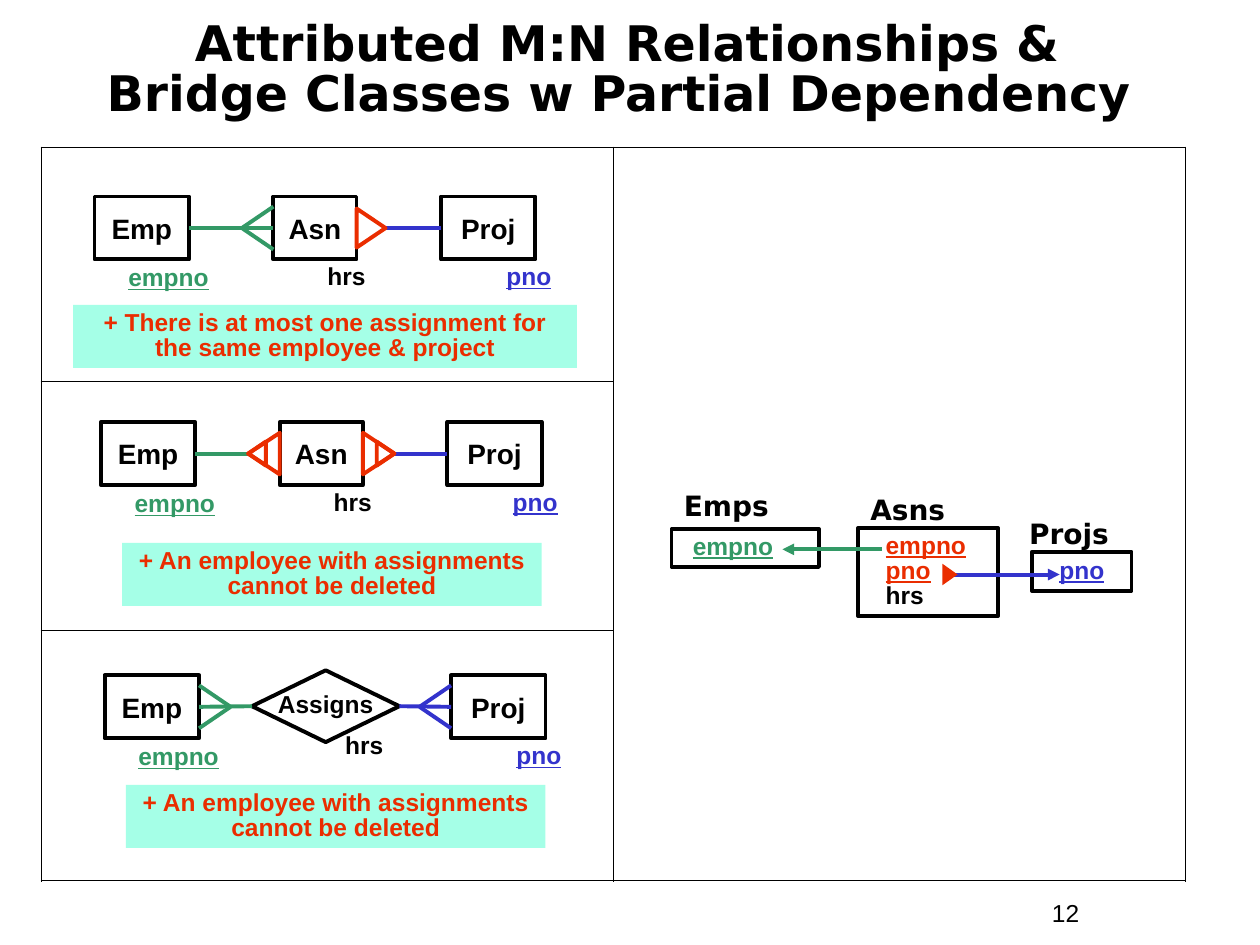
from pptx import Presentation
from pptx.dml.color import RGBColor
from pptx.enum.shapes import MSO_CONNECTOR, MSO_SHAPE
from pptx.enum.text import MSO_ANCHOR, MSO_AUTO_SIZE, PP_ALIGN
from pptx.oxml.ns import qn
from pptx.util import Inches, Pt
from lxml import etree

RECT, RHOMB, TRI = MSO_SHAPE.RECTANGLE, MSO_SHAPE.DIAMOND, MSO_SHAPE.ISOSCELES_TRIANGLE
STRAIGHT = MSO_CONNECTOR.STRAIGHT
TOP, MID = MSO_ANCHOR.TOP, MSO_ANCHOR.MIDDLE
LEFT, CENTER = PP_ALIGN.LEFT, PP_ALIGN.CENTER
SANS, HEAD = "Arial", "DejaVu Sans"
HUES = {"black": "000000", "green": "339966", "blue": "3333CC",
        "red": "EA2D00", "mint": "A5FFE7"}

# Content
TITLE = "Attributed M:N Relationships &\vBridge Classes w Partial Dependency "
PAGE = "12"
ONE = "+ There is at most one assignment for the same employee & project"
KEEP = "+ An employee with assignments cannot be deleted"
# Left panels: corner of the Emp box, link kind, hrs offset, note text and place
PANELS = [
    ((0.75, 1.56), "one", (1.75, 0.49), ONE, (0.58, 2.42, 4)),
    ((0.80, 3.35), "two", (1.75, 0.49), KEEP, (0.97, 4.31, 3.33)),
    ((0.83, 5.36), "rhomb", (1.81, 0.41), KEEP, (1, 6.23, 3.33)),
]
# Relations: name, its corner, box, indent, line spacing, fields (text, hue, key)
TABLES = [
    ("Emps", (5.33, 3.83), (5.33, 4.2, 1.17, 0.3), 0.07, 0.85, [("empno", "green", True)]),
    ("Asns", (6.81, 3.86), (6.81, 4.19, 1.11, 0.7), 0.12, 0.85,
     [("empno", "red", True), ("pno", "red", True), ("hrs", "black", False)]),
    ("Projs", (8.07, 4.05), (8.19, 4.38, 0.79, 0.31), 0.12, 0.9, [("pno", "blue", True)]),
]
COLS, ROWS = [4.54, 4.54], [1.86, 1.97, 1.99]
SIDE, TALL, ASN, GAP = 0.75, 0.5, 0.66, 1.42   # box width, height, Asn width and offset
FAR = 2.75                                     # offset of the Proj box
HALF = TALL / 2

prs = Presentation()
prs.slide_width, prs.slide_height = Inches(10), Inches(7.5)
slide = prs.slides.add_slide(prs.slide_layouts[5])
shapes = slide.shapes


def rgb(hue):
    return RGBColor.from_string(HUES[hue])


def write(shape, text, size=14, hue="black", font=SANS, bold=True, under=False,
          align=LEFT, anchor=TOP, space=1.0, indent=0, wrap=True):
    """Text is a string, or a list of (line, hue, underline)."""
    frame = shape.text_frame
    frame.auto_size = MSO_AUTO_SIZE.NONE
    frame.word_wrap, frame.vertical_anchor = wrap, anchor
    lines = [(text, hue, under)] if isinstance(text, str) else text
    for i, (line, tint, mark) in enumerate(lines):
        para = frame.add_paragraph() if i else frame.paragraphs[0]
        para.text = line
        para.alignment, para.line_spacing = align, space
        if indent:
            props = para._p.get_or_add_pPr()
            props.set("marL", str(Inches(indent)))
            props.set("indent", "0")
        for run in para.runs:
            run.font.name, run.font.size = font, Pt(size)
            run.font.bold, run.font.underline = bold, mark
            run.font.color.rgb = rgb(tint)


def label(text, x, y, w, h=0.31, **form):
    write(shapes.add_textbox(*map(Inches, (x, y, w, h))), text, **form)


def block(kind, x, y, w, h, line="black", fill=None):
    shape = shapes.add_shape(kind, *map(Inches, (x, y, w, h)))
    shape.shadow.inherit = False
    if fill:
        shape.fill.solid()
        shape.fill.fore_color.rgb = rgb(fill)
    else:
        shape.fill.background()
    if line:
        shape.line.color.rgb = rgb(line)
        shape.line.width = Pt(2.25)
    else:
        shape.line.fill.background()
    return shape


def node(text, x, y, w=SIDE):
    shape = block(RECT, x, y, w, TALL)
    write(shape, text, size=16, align=CENTER, anchor=MID, wrap=False)
    return shape


def wedge(base, tip, mid, span, **look):
    """Triangle lying on its side, pointing from base to tip."""
    high = abs(tip - base)
    shape = block(TRI, (base + tip - span) / 2, mid - high / 2, span, high, **look)
    shape.rotation = 90 if tip > base else 270


def link(x1, y1, x2, y2, hue, start=None, end=None, arrow=False):
    line = shapes.add_connector(STRAIGHT, *map(Inches, (x1, y1, x2, y2)))
    line.line.color.rgb, line.line.width = rgb(hue), Pt(2.25)
    if start:
        line.begin_connect(*start)
    if end:
        line.end_connect(*end)
    props = line._element.spPr
    if arrow:
        etree.SubElement(props.find(qn("a:ln")), qn("a:tailEnd"), type="triangle")
    etree.SubElement(props, qn("a:effectLst"))


def foot(tip, base, mid, hue):
    for rise in (-0.17, 0.17):
        link(tip, mid, base, mid + rise, hue)


def edge(cell, sides):
    props = cell._tc.get_or_add_tcPr()
    for i, (side, width) in enumerate(sides.items()):
        line = etree.Element(qn("a:ln" + side), w=str(Pt(width)))
        fill = etree.SubElement(line, qn("a:solidFill"))
        etree.SubElement(fill, qn("a:srgbClr"), val=HUES["black"])
        props.insert(i, line)


# Title and page number
title = shapes.title
title.left, title.top, title.width, title.height = map(Inches, (0.29, 0.11, 9.37, 0.92))
write(title, TITLE, size=28, font=HEAD, align=CENTER, anchor=MID, space=0.85)
label(PAGE, 8.25, 7.08, 0.92, 0.34, bold=False)

# Frame: three panels on the left, one merged cell on the right
grid = shapes.add_table(len(ROWS), len(COLS), *map(Inches, (0.33, 1.17, sum(COLS), sum(ROWS)))).table
grid.first_row = grid.horz_banding = False
for col, wide in zip(grid.columns, COLS):
    col.width = Inches(wide)
for row, high in zip(grid.rows, ROWS):
    row.height = Inches(high)
grid.cell(0, 1).merge(grid.cell(len(ROWS) - 1, 1))
THIN, THICK = 0.45, 1.08
for r in range(len(ROWS)):
    for c in range(len(COLS)):
        cell = grid.cell(r, c)
        cell.fill.background()
        edge(cell, {"L": THIN if c else THICK, "R": THICK if c else THIN,
                    "T": THIN if r else THICK,
                    "B": THICK if c or r == len(ROWS) - 1 else THIN})

# Left panels
for (x, y), kind, (dx, dy), note, (nx, ny, wide) in PANELS:
    mid, near, back = y + HALF, x + GAP, x + GAP + ASN
    emp, proj = node("Emp", x, y), node("Proj", x + FAR, y)
    out, into = (emp, 3), (proj, 1)
    if kind == "rhomb":
        tie = block(RHOMB, x + 1.17, mid - 0.29, 1.17, 0.57)
        write(tie, "Assigns", align=CENTER, anchor=MID, space=0.85, wrap=False)
        link(x + SIDE, mid, x + 1.17, mid, "green", out, (tie, 1))
        link(x + 2.34, mid, x + FAR, mid, "blue", (tie, 3), into)
        foot(x + 1, x + SIDE, mid, "green")
        foot(x + 2.5, x + FAR, mid, "blue")
    else:
        asn = node("Asn", near, y, ASN)
        tip = x + (2.31 if kind == "one" else 2.33)
        link(x + FAR, mid, tip, mid, "blue", into)
        if kind == "one":
            link(x + SIDE, mid, near, mid, "green", out, (asn, 1))
            foot(near - 0.25, near, mid, "green")
            wedge(back, tip, mid, 0.31, line="red")
        else:
            link(x + SIDE, mid, near - 0.25, mid, "green", out)
            for base, way in ((near, -1), (back, 1)):
                point = base + way * 0.25
                wedge(base, point, mid, 0.33, line="red")
                wedge(point - way * 0.14, point, mid, 0.19, line="red")
    label("empno", x + 0.17, y + TALL, 1.17, hue="green", under=True, space=0.9)
    label("pno", x + 3.17, y + 0.49, 0.75, hue="blue", under=True, space=0.9)
    label("hrs", x + dx, y + dy, 0.75, space=0.9)
    write(block(RECT, nx, ny, wide, 0.5, line=None, fill="mint"), note,
          hue="red", align=CENTER, space=0.85)

# Relations with their foreign keys
for name, (x, y), box, indent, space, fields in TABLES:
    label(name, x, y, 1.2, 0.37, size=16, font=HEAD)
    write(block(RECT, *box), fields, indent=indent, space=space)
link(7, 4.36, 6.21, 4.36, "green", arrow=True)
link(7.53, 4.56, 8.41, 4.56, "blue", arrow=True)
wedge(7.48, 7.6, 4.56, 0.17, line=None, fill="red")

prs.save("out.pptx")
